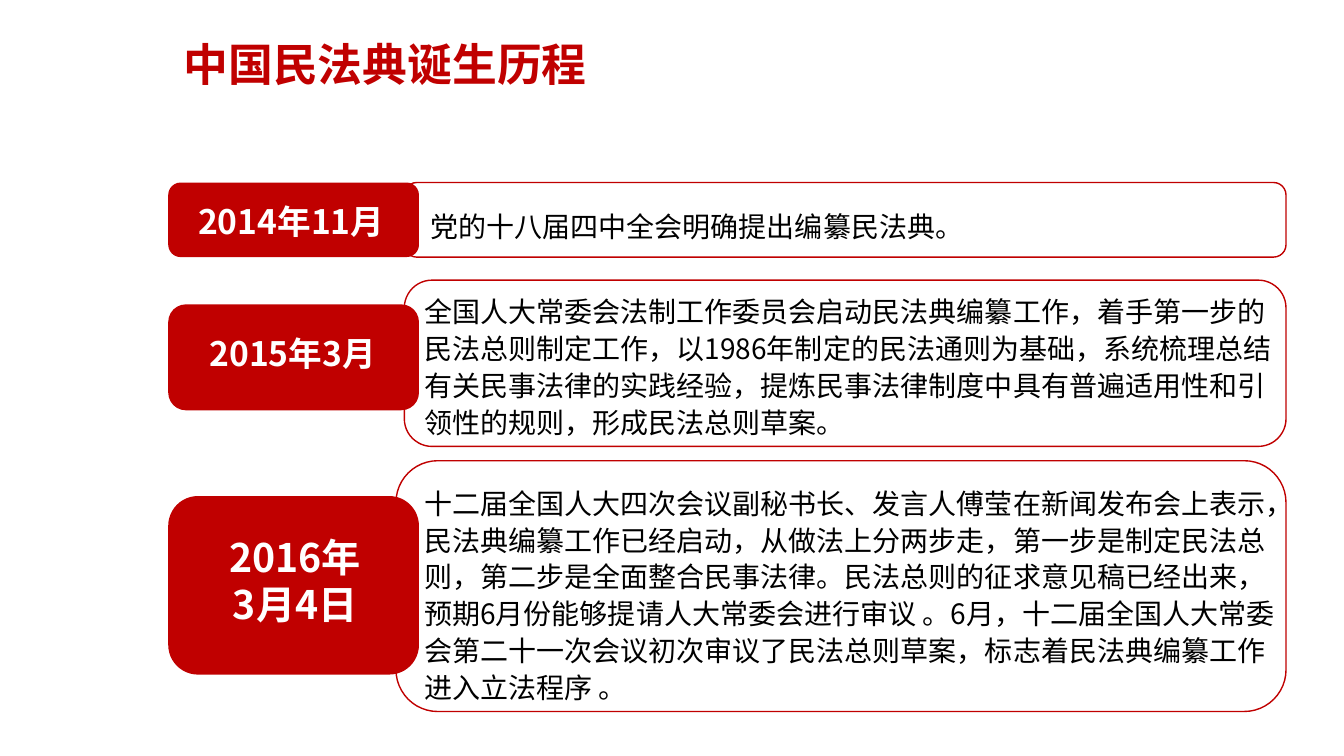
from dataclasses import dataclass

import pptx
import pptx.dml.color
import pptx.enum.shapes
import pptx.enum.text
import pptx.oxml
import pptx.oxml.ns
import pptx.shapes.autoshape
import pptx.slide
import pptx.text.text
import pptx.util

RED = pptx.dml.color.RGBColor(0xC0, 0x00, 0x00)
WHITE = pptx.dml.color.RGBColor(0xFF, 0xFF, 0xFF)
BLACK = pptx.dml.color.RGBColor(0x00, 0x00, 0x00)
FONT = "Noto Sans CJK SC"
LABEL_LEFT, LABEL_WIDTH = 4.24, 6.32
EVENT_LEFT, EVENT_WIDTH = 10.44, 21.95
FRAME_RIGHT = 32.41


@dataclass(frozen=True)
class Area:
    left: float
    top: float
    width: float
    height: float

    def lengths(self) -> list[pptx.util.Length]:
        return [pptx.util.Cm(side) for side in (self.left, self.top, self.width, self.height)]


@dataclass(frozen=True)
class Milestone:
    date: str
    date_size: int
    date_area: Area
    label_top: float
    label_height: float
    event: str
    event_top: float
    event_height: float
    frame_left: float
    frame_top: float
    frame_height: float


MILESTONES = [
    Milestone(
        "2014年11月", 24, Area(4.24, 4.93, 6.2, 1.3), 4.6, 1.88,
        " 党的十八届四中全会明确提出编纂民法典。",
        5.08, 1.19, 10.19, 4.6, 1.88,
    ),
    Milestone(
        "2015年3月", 24, Area(4.29, 8.26, 6.17, 1.83), 7.67, 2.67,
        "全国人大常委会法制工作委员会启动民法典编纂工作，着手第一步的民法总则制定工作，"
        "以1986年制定的民法通则为基础，系统梳理总结有关民事法律的实践经验，"
        "提炼民事法律制度中具有普遍适用性和引领性的规则，形成民法总则草案。",
        7.21, 4.01, 10.19, 7.06, 4.19,
    ),
    Milestone(
        "2016年\n3月4日", 28, Area(4.47, 13.31, 5.94, 2.64), 12.5, 4.5,
        "十二届全国人大四次会议副秘书长、发言人傅莹在新闻发布会上表示，"
        "民法典编纂工作已经启动，从做法上分两步走，第一步是制定民法总则，"
        "第二步是全面整合民事法律。民法总则的征求意见稿已经出来，"
        "预期6月份能够提请人大常委会进行审议 。6月，"
        "十二届全国人大常委会第二十一次会议初次审议了民法总则草案，"
        "标志着民法典编纂工作进入立法程序 。",
        12.04, 5.89, 9.98, 11.61, 6.32,
    ),
]


def write(
    frame: pptx.text.text.TextFrame,
    text: str,
    size: int,
    color: pptx.dml.color.RGBColor,
    bold: bool,
    alignment: pptx.enum.text.PP_ALIGN,
    spacing: float,
) -> None:
    frame.text = text
    frame.word_wrap = True
    frame.auto_size = pptx.enum.text.MSO_AUTO_SIZE.NONE
    frame.vertical_anchor = pptx.enum.text.MSO_ANCHOR.TOP
    for para in frame.paragraphs:
        para.alignment = alignment
        para.line_spacing = spacing
        for span in para.runs:
            span.font.name = FONT
            span.font.size = pptx.util.Pt(size)
            span.font.bold = bold
            span.font.color.rgb = color
            east_asian = pptx.oxml.parse_xml(
                f'<a:ea {pptx.oxml.ns.nsdecls("a")} typeface="{FONT}"/>'
            )
            span.font._element.append(east_asian)


def add_rounded(page: pptx.slide.Slide, area: Area) -> pptx.shapes.autoshape.Shape:
    box = page.shapes.add_shape(
        pptx.enum.shapes.MSO_SHAPE.ROUNDED_RECTANGLE, *area.lengths()
    )
    box.shadow.inherit = False
    return box


def add_milestone(page: pptx.slide.Slide, item: Milestone) -> None:
    frame = add_rounded(
        page,
        Area(item.frame_left, item.frame_top, FRAME_RIGHT - item.frame_left, item.frame_height),
    )
    frame.fill.background()
    frame.line.color.rgb = RED
    frame.line.width = pptx.util.Pt(1)

    label = add_rounded(
        page, Area(LABEL_LEFT, item.label_top, LABEL_WIDTH, item.label_height)
    )
    label.fill.solid()
    label.fill.fore_color.rgb = RED
    label.line.fill.background()

    date = page.shapes.add_textbox(*item.date_area.lengths())
    write(date.text_frame, item.date, item.date_size, WHITE, True,
          pptx.enum.text.PP_ALIGN.CENTER, 1.0)

    event_area = Area(EVENT_LEFT, item.event_top, EVENT_WIDTH, item.event_height)
    event = page.shapes.add_textbox(*event_area.lengths())
    write(event.text_frame, item.event, 20, BLACK, False,
          pptx.enum.text.PP_ALIGN.LEFT, 1.1)


def main() -> None:
    deck = pptx.Presentation()
    deck.slide_width = pptx.util.Cm(33.87)
    deck.slide_height = pptx.util.Cm(19.05)
    page = deck.slides.add_slide(deck.slide_layouts[5])

    title = page.shapes.title
    title.left, title.top, title.width, title.height = Area(4.37, 0.94, 11.48, 1.6).lengths()
    write(title.text_frame, "中国民法典诞生历程", 32, RED, True,
          pptx.enum.text.PP_ALIGN.LEFT, 0.9)

    for item in MILESTONES:
        add_milestone(page, item)
    deck.save("out.pptx")


if __name__ == "__main__":
    main()
